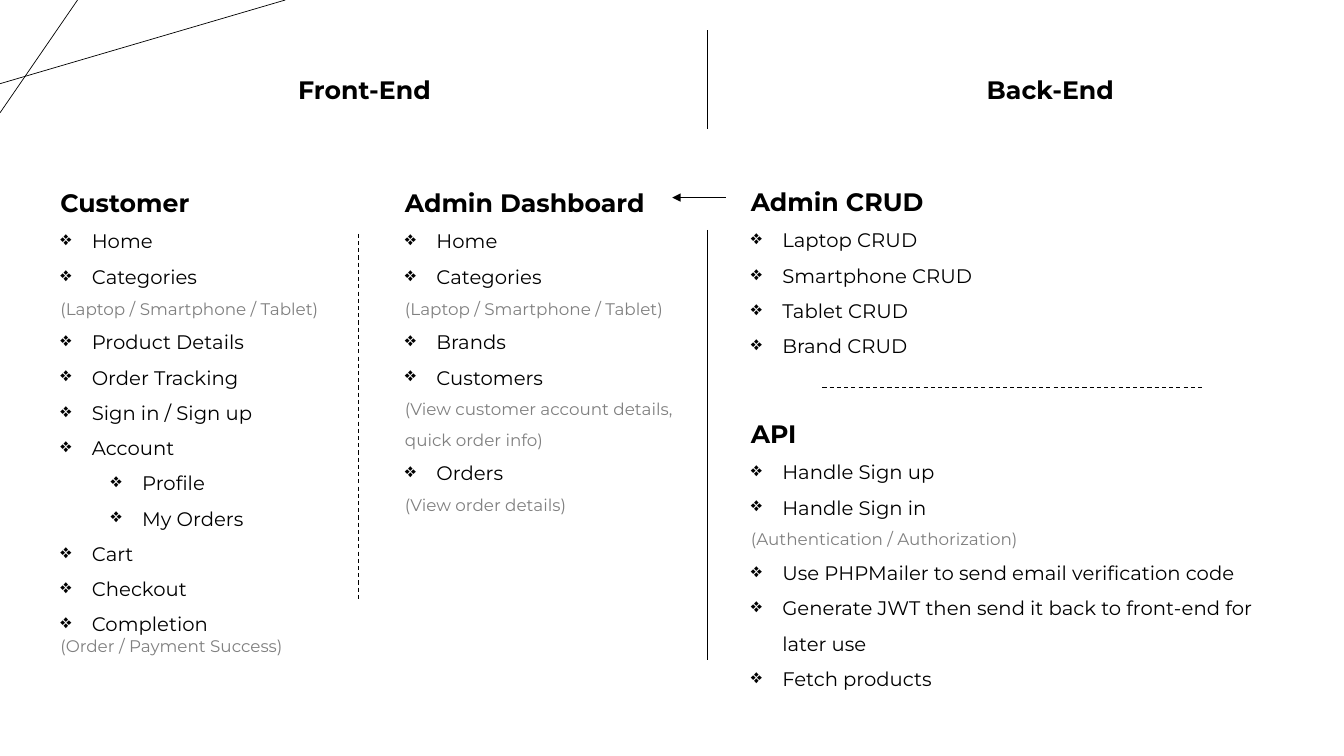
from lxml import etree
from pptx import Presentation
from pptx.dml.color import RGBColor
from pptx.enum import dml, shapes, text
from pptx.oxml.ns import qn
from pptx.util import Pt

FONT = "Montserrat"
BLACK, GREY = "000000", "808080"
INDENT, SUB_INDENT = 22.5, 58.5
COLUMN_TOP, COLUMN_WIDTH = 130.3, 213.8
DIVIDER_X = 505.4

# Each entry is (kind, wording); a "caption" is a note with single line spacing.
CUSTOMER = [
    ("item", "Home"),
    ("item", "Categories"),
    ("note", "(Laptop / Smartphone / Tablet)"),
    ("item", "Product Details"),
    ("item", "Order Tracking"),
    ("item", "Sign in / Sign up"),
    ("item", "Account"),
    ("subitem", "Profile"),
    ("subitem", "My Orders"),
    ("item", "Cart"),
    ("item", "Checkout"),
    ("item", "Completion"),
    ("caption", "(Order / Payment Success)"),
]
ADMIN_DASHBOARD = [
    ("item", "Home"),
    ("item", "Categories"),
    ("note", "(Laptop / Smartphone / Tablet)"),
    ("item", "Brands"),
    ("item", "Customers"),
    ("note", "(View customer account details, quick order info)"),
    ("item", "Orders"),
    ("note", "(View order details)"),
]
ADMIN_CRUD = [("item", f"{entity} CRUD")
              for entity in ("Laptop", "Smartphone", "Tablet", "Brand")]
API = [
    ("item", "Handle Sign up"),
    ("item", "Handle Sign in"),
    ("note", "(Authentication / Authorization)"),
    ("item", "Use PHPMailer to send email verification code"),
    ("item", "Generate JWT then send it back to front-end for later use"),
    ("item", "Fetch products"),
]


def color(hex_string):
    return RGBColor.from_string(hex_string)


def add_rule(slide, start, end, width=0.5, dashed=False, arrow=False):
    rule = slide.shapes.add_connector(
        shapes.MSO_CONNECTOR.STRAIGHT, *(Pt(v) for v in (*start, *end)))
    rule.line.color.rgb = color(BLACK)
    rule.line.width = Pt(width)
    if dashed:
        rule.line.dash_style = dml.MSO_LINE.DASH
    properties = rule._element.spPr
    if arrow:
        etree.SubElement(properties.find(qn("a:ln")), qn("a:tailEnd"), type="triangle")
    etree.SubElement(properties, qn("a:effectLst"))


def add_frame(slide, left, top, width, height):
    frame = slide.shapes.add_textbox(Pt(left), Pt(top), Pt(width), Pt(height)).text_frame
    frame.word_wrap = True
    frame.auto_size = text.MSO_AUTO_SIZE.SHAPE_TO_FIT_TEXT
    return frame


def add_run(paragraph, wording, size, hex_string=BLACK, bold=False):
    run = paragraph.add_run()
    run.text = wording
    run.font.name = FONT
    run.font.size = Pt(size)
    run.font.bold = bold
    run.font.color.rgb = color(hex_string)


def add_bullet(paragraph, indent):
    properties = paragraph._p.get_or_add_pPr()
    properties.set("marL", str(Pt(indent)))
    properties.set("indent", str(-Pt(INDENT)))
    etree.SubElement(properties, qn("a:buChar"), char="❖")


def add_heading(slide, box, heading):
    frame = add_frame(slide, *box)
    add_run(frame.paragraphs[0], heading, 18, bold=True)
    return frame


def add_feature_list(slide, box, heading, entries):
    frame = add_heading(slide, box, heading)
    for kind, wording in entries:
        paragraph = frame.add_paragraph()
        if kind != "caption":
            paragraph.line_spacing = 1.5
        if kind in ("note", "caption"):
            add_run(paragraph, wording, 12, GREY)
            continue
        nested = kind == "subitem"
        paragraph.level = int(nested)
        add_bullet(paragraph, SUB_INDENT if nested else INDENT)
        add_run(paragraph, wording, 14)


def add_corner_lines(slide):
    add_rule(slide, (0, 59.8), (203.8, 0))
    add_rule(slide, (55.4, 0), (0, 80.6))


def add_front_end(slide, left, top):
    add_heading(slide, (left + 169.9, top, 112.3, 28.8), "Front-End")
    add_feature_list(slide, (left, COLUMN_TOP, COLUMN_WIDTH, 345.6),
                     "Customer", CUSTOMER)
    add_feature_list(slide, (left + 246.2, COLUMN_TOP, COLUMN_WIDTH, 241.2),
                     "Admin Dashboard", ADMIN_DASHBOARD)
    add_rule(slide, (left + 220.3, 167), (left + 220.3, 427.7), 0.75, dashed=True)


def add_back_end(slide, left, top):
    add_heading(slide, (left + 168.5, top, 112.3, 28.8), "Back-End")
    add_feature_list(slide, (left, 129.6, 173.5, 128.2), "Admin CRUD", ADMIN_CRUD)
    add_rule(slide, (left + 58.3, 276.5), (left + 330.5, 276.5), 0.75, dashed=True)
    add_feature_list(slide, (left, 295.2, 389.5, 200.9), "API", API)


def add_divider(slide):
    for top, bottom in ((21.6, 92.2), (164.2, 471.6)):
        add_rule(slide, (DIVIDER_X, top), (DIVIDER_X, bottom))
    add_rule(slide, (DIVIDER_X + 13, 141.1), (DIVIDER_X - 25.2, 141.1), arrow=True)


def main():
    deck = Presentation()
    deck.slide_width, deck.slide_height = Pt(960), Pt(540)
    slide = deck.slides.add_slide(deck.slide_layouts[6])
    add_corner_lines(slide)
    add_front_end(slide, 36, 49.7)
    add_back_end(slide, 529.2, 49.7)
    add_divider(slide)
    deck.save("out.pptx")


if __name__ == "__main__":
    main()
